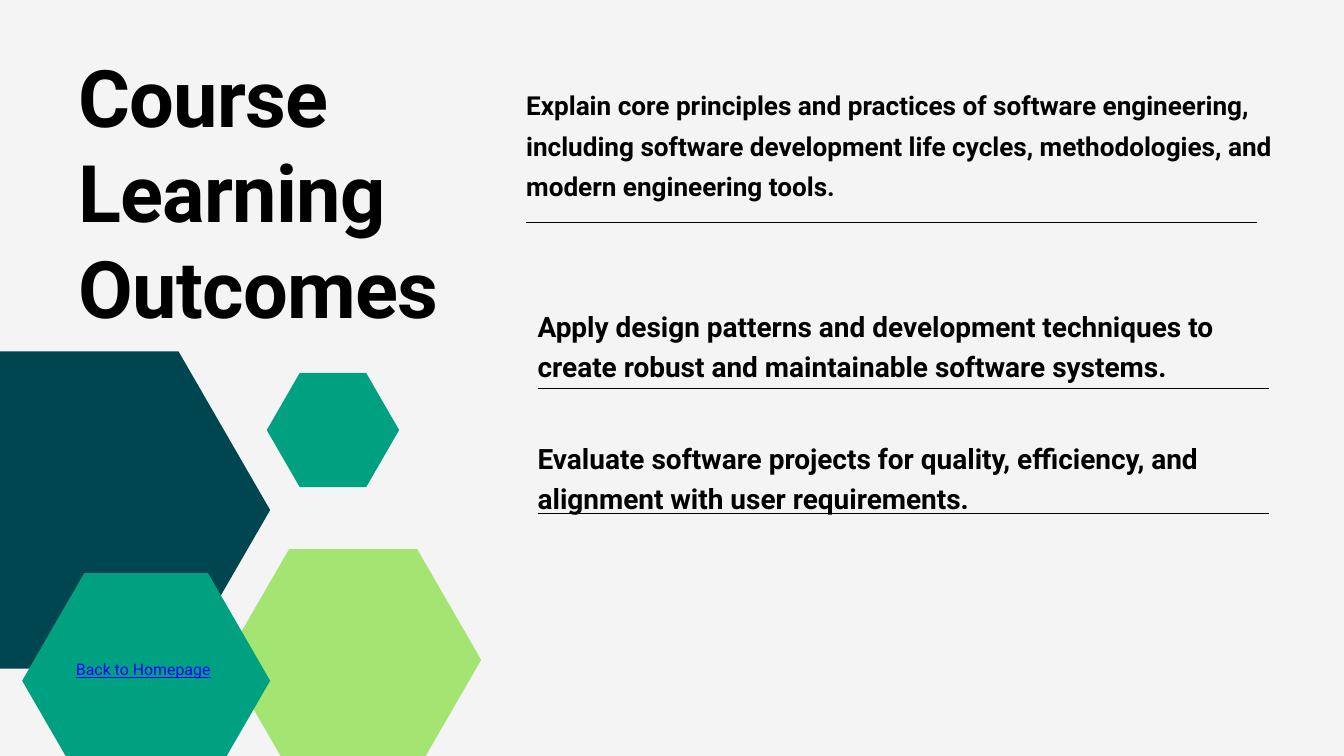
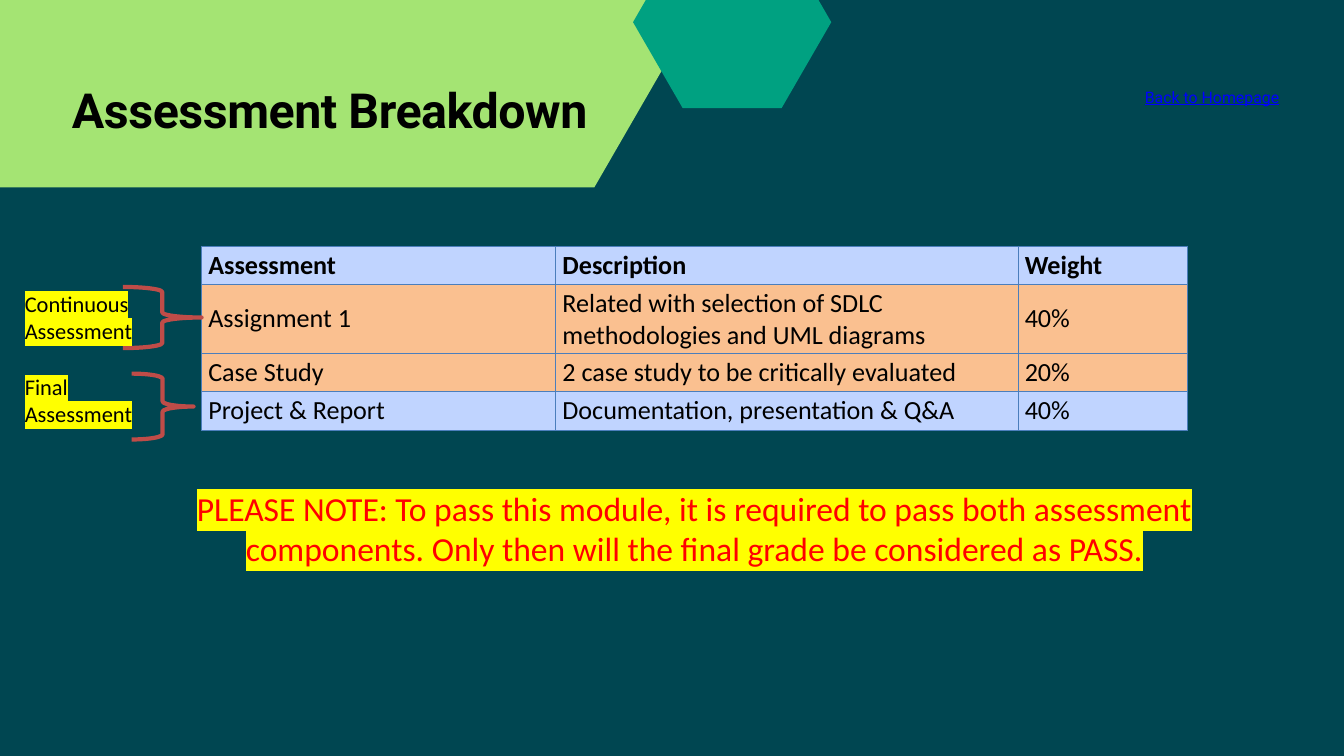
from pptx import Presentation
from pptx.dml.color import RGBColor
from pptx.enum.shapes import MSO_CONNECTOR, MSO_SHAPE
from pptx.enum.text import MSO_ANCHOR, MSO_AUTO_SIZE, PP_ALIGN
from pptx.oxml.ns import qn
from pptx.util import Inches, Pt
from lxml.etree import SubElement

BLACK = RGBColor(0x00, 0x00, 0x00)
LIGHT = RGBColor(0xF4, 0xF4, 0xF4)
NAVY = RGBColor(0x00, 0x46, 0x51)
LIME = RGBColor(0xA4, 0xE4, 0x73)
TEAL = RGBColor(0x00, 0xA1, 0x81)
LINK = RGBColor(0x00, 0x00, 0xFF)
RED = RGBColor(0xFF, 0x00, 0x00)
YELLOW = RGBColor(0xFF, 0xFF, 0x00)
BRACE = RGBColor(0xBF, 0x4C, 0x48)
PALE_BLUE = RGBColor(0xC0, 0xD4, 0xFF)
ORANGE = RGBColor(0xFA, 0xC0, 0x90)
GRID = RGBColor(0x4B, 0x7E, 0xBC)

HEADING, BODY = "Roboto", "Calibri"
NO_INSETS = (0, 0, 0, 0)
TEXT_INSETS = (0.1, 0.05, 0.1, 0.05)
HEXAGON_INSET = 0.2887  # corner inset of a regular hexagon, per unit of height


def set_color(parent, color):
    fill = SubElement(parent, qn("a:solidFill"))
    SubElement(fill, qn("a:srgbClr")).set("val", str(color))


class Deck:
    def __init__(self):
        self.prs = Presentation()
        self.prs.slide_width, self.prs.slide_height = Inches(20), Inches(11.25)
        self.s = None

    def slide(self, color):
        self.s = self.prs.slides.add_slide(self.prs.slide_layouts[6])
        fill = self.s.background.fill
        fill.solid()
        fill.fore_color.rgb = color

    def run(self, p, text, size, font=BODY, color=BLACK, spacing=0,
            highlight=None, **extra):
        r = p.add_run()
        r.text = text
        style = {"name": font, "size": Pt(size), **extra}
        for key, value in style.items():
            setattr(r.font, key, value)
        r.font.color.rgb = color
        rPr = r._r.get_or_add_rPr()
        if spacing:
            rPr.set("spc", str(round(spacing * 100)))
        if highlight:
            mark = SubElement(rPr, qn("a:highlight"))
            SubElement(mark, qn("a:srgbClr")).set("val", str(highlight))
            rPr.find(qn("a:latin")).addprevious(mark)

    def text(self, box, text, size, align=PP_ALIGN.LEFT, leading=None,
             insets=NO_INSETS, **style):
        tf = self.s.shapes.add_textbox(*map(Inches, box)).text_frame
        tf.word_wrap = True
        tf.auto_size = MSO_AUTO_SIZE.SHAPE_TO_FIT_TEXT
        for side, inset in zip(("left", "top", "right", "bottom"), insets):
            setattr(tf, f"margin_{side}", Inches(inset))
        p = tf.paragraphs[0]
        p.alignment = align
        if leading:
            p.line_spacing = Pt(leading)
        self.run(p, text, size, **style)

    def title(self, box, text, size, leading, spacing):
        self.text(box, text, size, leading=leading, font=HEADING,
                  bold=True, spacing=spacing)

    def home_label(self, box, align=PP_ALIGN.LEFT):
        self.text(box, "Back to Homepage", 17, align, 23.8,
                  font=HEADING, color=LINK, underline=True)

    def hexagon(self, x, y, w, h, color):
        sp = self.s.shapes.add_shape(MSO_SHAPE.HEXAGON, *map(Inches, (x, y, w, h)))
        sp.adjustments[0] = HEXAGON_INSET
        sp.shadow.inherit = False
        sp.fill.solid()
        sp.fill.fore_color.rgb = color
        sp.line.fill.background()

    def brace(self, *box):
        sp = self.s.shapes.add_shape(MSO_SHAPE.RIGHT_BRACE, *map(Inches, box))
        sp.shadow.inherit = False
        sp.fill.background()
        sp.line.color.rgb = BRACE
        sp.line.width = Pt(4.5)

    def rule(self, x, y, length):
        line = self.s.shapes.add_connector(
            MSO_CONNECTOR.STRAIGHT, *map(Inches, (x, y, x + length, y)))
        line.line.color.rgb = BLACK
        line.line.width = Pt(0.75)
        SubElement(line._element.spPr, qn("a:effectLst"))

    def cell(self, cell, text, fill, bold):
        # Borders come before the fill in the cell properties
        tcPr = cell._tc.get_or_add_tcPr()
        for side in ("lnL", "lnR", "lnT", "lnB"):
            border = SubElement(tcPr, qn(f"a:{side}"))
            border.set("w", str(Pt(0.75)))
            set_color(border, GRID)
        cell.fill.solid()
        cell.fill.fore_color.rgb = fill
        cell.vertical_anchor = MSO_ANCHOR.MIDDLE
        self.run(cell.text_frame.paragraphs[0], text, 28, bold=bold)

    def table(self, x, y, widths, heights, rows, fills):
        box = map(Inches, (x, y, sum(widths), sum(heights)))
        table = self.s.shapes.add_table(len(rows), len(widths), *box).table
        table.first_row = table.horz_banding = False
        for column, width in zip(table.columns, widths):
            column.width = Inches(width)
        for i, (row, height) in enumerate(zip(table.rows, heights)):
            row.height = Inches(height)
            for cell, text in zip(row.cells, rows[i]):
                self.cell(cell, text, fills[i], bold=i == 0)


def learning_outcomes(deck):
    deck.slide(LIGHT)
    deck.title((1.17, 0.72, 6.03, 4.25), "Course Learning Outcomes", 85, 102, -0.8)

    # Hexagon cluster
    for hexagon in (
        (-1.43, 5.23, 5.45, 4.72, NAVY),
        (3.35, 8.17, 3.81, 3.3, LIME),
        (3.97, 5.55, 1.97, 1.7, TEAL),
        (0.33, 8.53, 3.69, 3.2, TEAL),
    ):
        deck.hexagon(*hexagon)

    # Outcomes, each above a rule
    outcomes = (
        ((7.83, 1.2, 11.92, 1.78), 28, 3.31,
         "Explain core principles and practices of software engineering, "
         "including software development life cycles, methodologies, and "
         "modern engineering tools."),
        ((8, 4.5, 10.88, 1.16), 30, 5.78,
         "Apply design patterns and development techniques to create robust "
         "and maintainable software systems."),
        ((8, 6.47, 10.88, 1.17), 30, 7.64,
         "Evaluate software projects for quality, efficiency, and alignment "
         "with user requirements."),
    )
    for box, size, rule_y, text in outcomes:
        deck.text(box, text, size, leading=43.2, font=HEADING, bold=True)
        deck.rule(box[0], rule_y, 10.88)
    deck.home_label((1.13, 9.77, 5.72, 0.32))


def assessment_breakdown(deck):
    deck.slide(NAVY)

    # Title band
    deck.hexagon(-3.19, -4.02, 14, 6.81, LIME)
    deck.hexagon(9.42, -0.95, 2.95, 2.56, TEAL)
    deck.title((1.07, 1.12, 8.33, 0.9), "Assessment Breakdown", 51.8, 67.3, -0.5)
    deck.home_label((15.98, 1.25, 3.06, 0.32), PP_ALIGN.RIGHT)

    # Assessment table
    rows = (
        ("Assessment", "Description", "Weight"),
        ("Assignment 1",
         "Related with selection of SDLC methodologies and UML diagrams", "40%"),
        ("Case Study", "2 case study to be critically evaluated", "20%"),
        ("Project & Report", "Documentation, presentation & Q&A", "40%"),
    )
    deck.table(3, 3.66, (5.27, 6.88, 2.52), (0.54, 0.95, 0.54, 0.54),
               rows, (PALE_BLUE, ORANGE, ORANGE, PALE_BLUE))

    # Braces and their labels
    for brace, label, text in (
        ((1.83, 4.27, 1.17, 0.91), (0.27, 4.27, 2.75, 0.91), "Continuous Assessment"),
        ((1.96, 5.56, 0.92, 0.98), (0.27, 5.51, 2.42, 0.91), "Final Assessment"),
    ):
        deck.brace(*brace)
        deck.text(label, text, 24, insets=TEXT_INSETS, highlight=YELLOW)

    # Pass requirement
    deck.text((2.72, 7.16, 15.23, 1.31),
              "PLEASE NOTE: To pass this module, it is required to pass both "
              "assessment components. Only then will the final grade be "
              "considered as PASS.",
              36, PP_ALIGN.CENTER, insets=(0, 0.1, 0, 0),
              color=RED, highlight=YELLOW)


def main():
    deck = Deck()
    learning_outcomes(deck)
    assessment_breakdown(deck)
    deck.prs.save("out.pptx")


if __name__ == "__main__":
    main()
